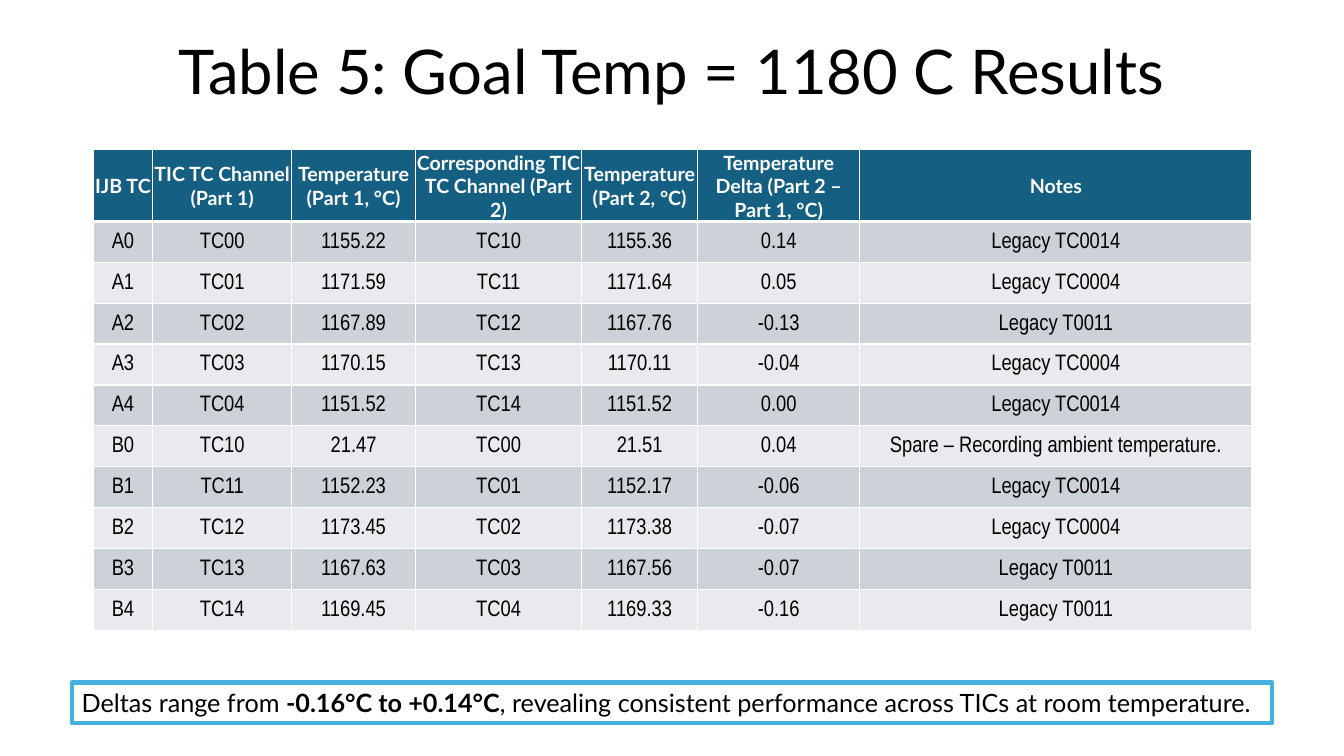
from dataclasses import dataclass

import pptx
import pptx.dml.color
import pptx.enum.shapes
import pptx.enum.text
import pptx.oxml
import pptx.oxml.ns
import pptx.util
from pptx.util import Cm

ALIGN = pptx.enum.text.PP_ALIGN
ANCHOR = pptx.enum.text.MSO_ANCHOR


@dataclass(frozen=True)
class Theme:
    black: str = "000000"
    white: str = "FFFFFF"
    header: str = "156082"
    bands: tuple = ("CCD2D8", "E8EAED")
    accent: str = "46B1E1"
    font: str = "Lato"
    data_font: str = "Arial Narrow"
    title_size: int = 44
    header_size: int = 14
    data_size: int = 16
    note_size: int = 18
    rule: int = 1
    heavy_rule: int = 3


THEME = Theme()

COLUMNS = [
    ("IJB TC", 1.5),
    ("TIC TC Channel (Part 1)", 3.5),
    ("Temperature (Part 1, °C)", 3.12),
    ("Corresponding TIC TC Channel (Part 2)", 4.19),
    ("Temperature (Part 2, °C)", 2.92),
    ("Temperature Delta (Part 2 – Part 1, °C)", 4.09),
    ("Notes", 9.88),
]
READINGS = [
    ("A0", "TC00", "1155.22", "TC10", "1155.36", "0.14", "Legacy TC0014"),
    ("A1", "TC01", "1171.59", "TC11", "1171.64", "0.05", "Legacy TC0004"),
    ("A2", "TC02", "1167.89", "TC12", "1167.76", "-0.13", "Legacy T0011"),
    ("A3", "TC03", "1170.15", "TC13", "1170.11", "-0.04", "Legacy TC0004"),
    ("A4", "TC04", "1151.52", "TC14", "1151.52", "0.00", "Legacy TC0014"),
    ("B0", "TC10", "21.47", "TC00", "21.51", "0.04",
     "Spare – Recording ambient temperature."),
    ("B1", "TC11", "1152.23", "TC01", "1152.17", "-0.06", "Legacy TC0014"),
    ("B2", "TC12", "1173.45", "TC02", "1173.38", "-0.07", "Legacy TC0004"),
    ("B3", "TC13", "1167.63", "TC03", "1167.56", "-0.07", "Legacy T0011"),
    ("B4", "TC14", "1169.45", "TC04", "1169.33", "-0.16", "Legacy T0011"),
]
ROW_HEIGHT = Cm(1.03)


def rgb(color):
    return pptx.dml.color.RGBColor.from_string(color)


def style_run(r, size, color, font=THEME.font, bold=False):
    r.font.size = pptx.util.Pt(size)
    r.font.name = font
    r.font.bold = bold
    r.font.color.rgb = rgb(color)


def add_title(s, text):
    sp = s.shapes.add_textbox(Cm(2.33), Cm(0.05), Cm(29.21), Cm(3.68))
    tf = sp.text_frame
    tf.word_wrap = True
    tf.vertical_anchor = ANCHOR.MIDDLE
    tf.text = text
    p = tf.paragraphs[0]
    p.alignment = ALIGN.CENTER
    p.line_spacing = 0.9
    style_run(p.runs[0], THEME.title_size, THEME.black)


def add_border(cell, side, width):
    ns = pptx.oxml.ns.nsdecls("a")
    line = pptx.oxml.parse_xml(
        f'<a:ln{side} {ns} w="{pptx.util.Pt(width)}"><a:solidFill>'
        f'<a:srgbClr val="{THEME.white}"/></a:solidFill></a:ln{side}>')
    cell._tc.get_or_add_tcPr().append(line)


def fill_cell(cell, text, row):
    """Write and style one cell; row 0 is the header."""
    heavy_side = {0: "B", 1: "T"}.get(row)
    for side in "LRTB":
        add_border(cell, side,
                   THEME.heavy_rule if side == heavy_side else THEME.rule)
    cell.fill.solid()
    cell.fill.fore_color.rgb = rgb(
        THEME.bands[(row - 1) % 2] if row else THEME.header)
    cell.margin_left = cell.margin_right = cell.margin_top = Cm(0.03)
    cell.margin_bottom = 0
    cell.vertical_anchor = ANCHOR.MIDDLE
    cell.text = text
    p = cell.text_frame.paragraphs[0]
    p.alignment = ALIGN.CENTER
    if row:
        style_run(p.runs[0], THEME.data_size, THEME.black, THEME.data_font)
    else:
        style_run(p.runs[0], THEME.header_size, THEME.white, bold=True)


def add_results_table(s):
    headings, widths = zip(*COLUMNS)
    rows = [headings, *READINGS]
    table = s.shapes.add_table(
        len(rows), len(widths), Cm(2.35), Cm(3.77),
        Cm(sum(widths)), ROW_HEIGHT * len(rows)).table
    for column, width in zip(table.columns, widths):
        column.width = Cm(width)
    for i, values in enumerate(rows):
        table.rows[i].height = ROW_HEIGHT
        for j, text in enumerate(values):
            fill_cell(table.cell(i, j), text, i)


def add_note(s, parts):
    """Add the framed summary; parts are (text, bold) pairs."""
    sp = s.shapes.add_shape(pptx.enum.shapes.MSO_SHAPE.RECTANGLE,
                            Cm(1.81), Cm(17.2), Cm(30.25), Cm(1.03))
    sp.shadow.inherit = False
    sp.fill.background()
    sp.line.color.rgb = rgb(THEME.accent)
    sp.line.width = pptx.util.Pt(THEME.heavy_rule)
    tf = sp.text_frame
    tf.word_wrap = True
    tf.auto_size = pptx.enum.text.MSO_AUTO_SIZE.SHAPE_TO_FIT_TEXT
    tf.vertical_anchor = ANCHOR.TOP
    p = tf.paragraphs[0]
    p.alignment = ALIGN.LEFT
    for text, bold in parts:
        r = p.add_run()
        r.text = text
        style_run(r, THEME.note_size, THEME.black, bold=bold)


def main():
    prs = pptx.Presentation()
    prs.slide_width, prs.slide_height = Cm(33.87), Cm(19.05)
    s = prs.slides.add_slide(prs.slide_layouts[6])
    add_title(s, "Table 5: Goal Temp = 1180 C Results")
    add_results_table(s)
    add_note(s, [
        ("Deltas range from ", False),
        ("-0.16°C to +0.14°C", True),
        (", revealing consistent performance across TICs"
         " at room temperature.", False),
    ])
    prs.save("out.pptx")


if __name__ == "__main__":
    main()
